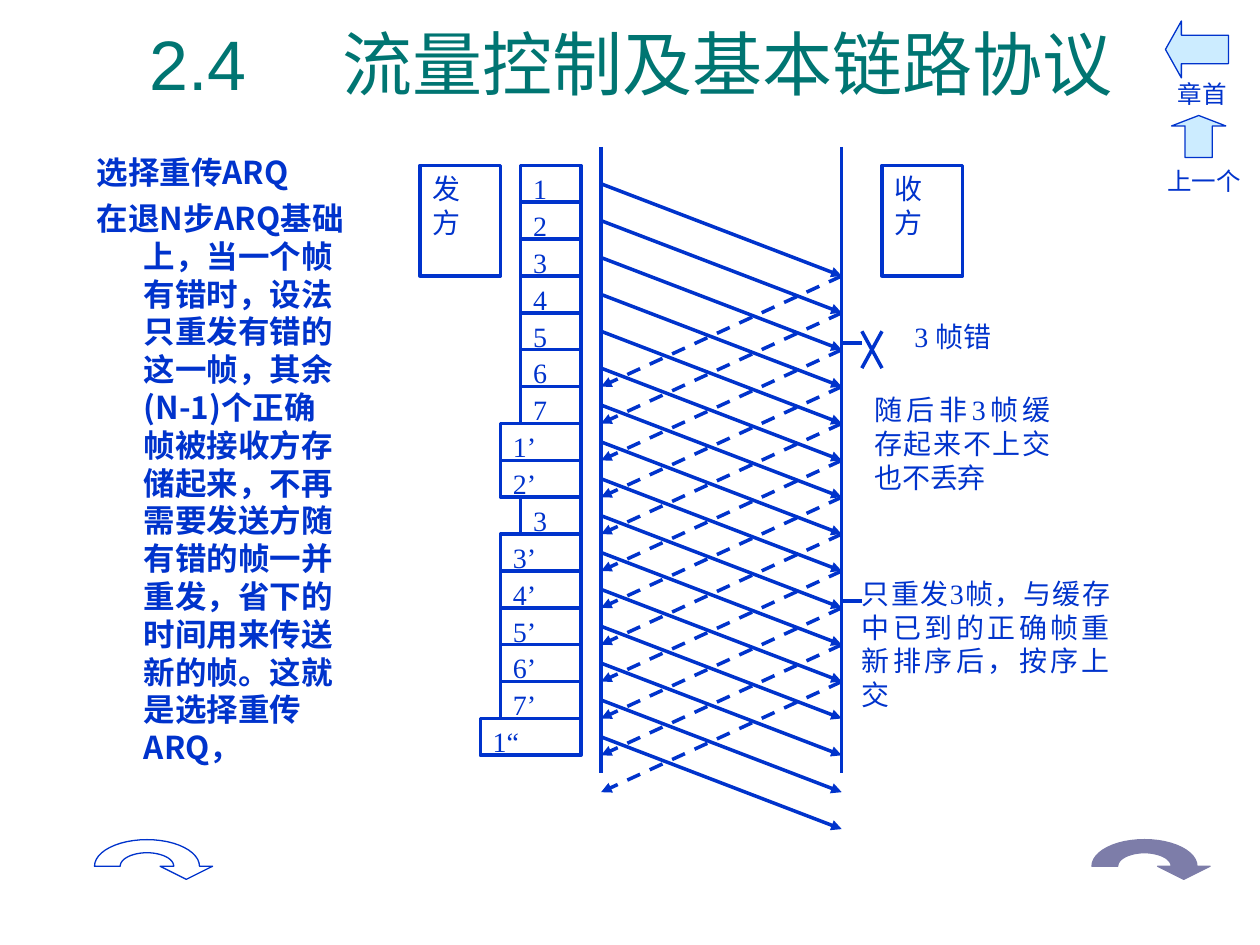
import math
import pptx
import pptx.util
import pptx.dml.color
import pptx.enum.dml
import pptx.enum.shapes
import pptx.enum.text
import pptx.oxml
import pptx.oxml.ns
from lxml import etree

Pt = pptx.util.Pt
RGB = pptx.dml.color.RGBColor
ALIGN = pptx.enum.text.PP_ALIGN
ANCHOR = pptx.enum.text.MSO_ANCHOR
KIND = pptx.enum.shapes.MSO_SHAPE
qn = pptx.oxml.ns.qn

BLUE = RGB(0x00, 0x33, 0xCC)
TEAL = RGB(0x00, 0x75, 0x72)
SKY = RGB(0xCC, 0xEC, 0xFF)
WHITE = RGB(0xFF, 0xFF, 0xFF)
MAUVE = RGB(0x7D, 0x7D, 0xA9)
SERIF, SANS, HAN = "Times New Roman", "Arial", "Noto Sans CJK SC"

TOP, STEP, UNIT = 94.5, 21.07, 11.5
SEND, RECV = 343.5, 481
EDGE = 332
LABELS = "1 2 3 4 5 6 7 1’ 2’ 3 3’ 4’ 5’ 6’ 7’ 1“".split()


class Board:
    def __init__(self, slide):
        self.slide = slide
        self.shapes = slide.shapes

    def place(self, shape, x, y, w, h):
        shape.left, shape.top, shape.width, shape.height = map(Pt, (x, y, w, h))

    def style(self, para, size, face, color=BLUE, bold=False):
        for run in para.runs:
            font = run.font
            font.size, font.name, font.bold = Pt(size), face, bold
            font.color.rgb = color
            east = etree.SubElement(run._r.get_or_add_rPr(), qn("a:ea"))
            east.set("typeface", HAN)

    def paint(self, shape, fill, line, width):
        shape.shadow.inherit = False
        if fill is None:
            shape.fill.background()
        else:
            shape.fill.solid()
            shape.fill.fore_color.rgb = fill
        shape.line.color.rgb = line
        shape.line.width = Pt(width)

    def title(self, head, tail):
        shape = self.shapes.title
        self.place(shape, 54, 12, 612, 48)
        frame = shape.text_frame
        frame.auto_size = pptx.enum.text.MSO_AUTO_SIZE.NONE
        frame.vertical_anchor = ANCHOR.MIDDLE
        frame.margin_left = Pt(31.5)
        para = frame.paragraphs[0]
        stops = etree.SubElement(para._p.get_or_add_pPr(), qn("a:tabLst"))
        etree.SubElement(stops, qn("a:tab"), pos=str(Pt(110.5)), algn="l")
        para.text = head + "\t" + tail
        para.alignment = ALIGN.LEFT
        self.style(para, 40, SANS, TEAL)

    def body(self, lines):
        shape = self.slide.placeholders[1]
        self.place(shape, 48, 84, 156, 372)
        frame = shape.text_frame
        frame.auto_size = pptx.enum.text.MSO_AUTO_SIZE.NONE
        frame.text = "\n".join(lines)
        for i, para in enumerate(frame.paragraphs):
            props = para._p.get_or_add_pPr()
            props.set("marL", str(Pt(27)))
            props.set("indent", str(Pt(-27)))
            etree.SubElement(props, qn("a:buNone"))
            para.space_before = Pt(4.5 if i else 0)
            para.line_spacing = Pt(21.6)
            self.style(para, 18, HAN, bold=True)

    def letter(self, shape, text, size, align, lead=None):
        frame = shape.text_frame
        frame.word_wrap = True
        frame.vertical_anchor = ANCHOR.TOP
        para = frame.paragraphs[0]
        para.text = text
        para.alignment = align
        if lead:
            para.line_spacing = Pt(lead)
        self.style(para, size, SERIF)

    def note(self, text, x, y, w, h, size=16, align=ALIGN.JUSTIFY, inset=7.2):
        shape = self.shapes.add_textbox(Pt(x), Pt(y), Pt(w), Pt(h))
        self.letter(shape, text, size, align, 1.2 * size)
        shape.text_frame.margin_left = Pt(inset)

    def box(self, text, x, y, w, h, lead=None):
        shape = self.shapes.add_shape(KIND.RECTANGLE, Pt(x), Pt(y), Pt(w), Pt(h))
        self.paint(shape, None, BLUE, 2)
        self.letter(shape, text, 16, ALIGN.JUSTIFY, lead)

    def arrow(self, kind, x, y, w, h, ratio):
        shape = self.shapes.add_shape(kind, Pt(x), Pt(y), Pt(w), Pt(h))
        shape.adjustments[1] = ratio
        self.paint(shape, SKY, BLUE, 0.75)

    def line(self, x1, y1, x2, y2, head=False, dash=False):
        link = self.shapes.add_connector(
            pptx.enum.shapes.MSO_CONNECTOR.STRAIGHT, Pt(x1), Pt(y1), Pt(x2), Pt(y2))
        link.line.color.rgb = BLUE
        link.line.width = Pt(2)
        if dash:
            link.line.dash_style = pptx.enum.dml.MSO_LINE.DASH
        props = link._element.spPr
        if head:
            etree.SubElement(props.find(qn("a:ln")), qn("a:tailEnd"), type="triangle")
        etree.SubElement(props, qn("a:effectLst"))

    def swoosh(self, x, y, fill, line):
        turns = [math.pi * i / 24 for i in range(25)]
        mid = x + 30
        inner = [(mid + 15.3 * math.cos(t), y - 7.7 * math.sin(t)) for t in turns]
        outer = [(mid - 30 * math.cos(t), y - 15.2 * math.sin(t)) for t in turns]
        tip = [(x + 67.5, y), (x + 52.5, y + 7.5), (x + 37.5, y)]
        first, *rest = [(Pt(a), Pt(b)) for a, b in inner + outer + tip]
        pen = self.shapes.build_freeform(*first)
        pen.add_line_segments(rest, close=True)
        self.paint(pen.convert_to_shape(), fill, line, 0.75)


def main():
    deck = pptx.Presentation()
    deck.slide_width, deck.slide_height = Pt(720), Pt(540)
    board = Board(deck.slides.add_slide(deck.slide_layouts[1]))

    board.title("2.4", "流量控制及基本链路协议")
    board.body([
        "选择重传ARQ",
        "在退N步ARQ基础上，当一个帧有错时，设法只重发有错的这一帧，其余(N-1)个正确帧"
        "被接收方存储起来，不再需要发送方随有错的帧一并重发，省下的时间用来传送新的帧。"
        "这就是选择重传ARQ，",
    ])

    board.arrow(KIND.UP_ARROW, 669.5, 66, 31, 24, 0.25)
    board.arrow(KIND.LEFT_ARROW, 666, 12, 36, 32.5, 0.28)
    board.note("上一个", 660, 91.5, 60, 24.5, 14, ALIGN.LEFT)
    board.note("章首", 666, 41.5, 43, 24.5, 14, ALIGN.LEFT)
    board.swoosh(54, 495, WHITE, BLUE)
    board.swoosh(624, 495, MAUVE, MAUVE)

    for x in (SEND, RECV):
        board.line(x, 84, x, 442)
    for text, x in (("发方", 240), ("收方", 504)):
        board.box(text, x, TOP, 46, 3 * STEP, 19.2)

    for i, label in enumerate(LABELS):
        y = TOP + i * STEP
        wide = 5 if "“" in label else 2 + len(label)
        board.box(label, EDGE - wide * UNIT, y, wide * UNIT, STEP)
        board.line(SEND, y + STEP / 2, RECV, y + 3 * STEP, head=True)
    for i in range(3, 15):
        y = TOP + i * STEP
        board.line(RECV, y, SEND, y + 3 * STEP, head=True, dash=True)

    mark = RECV + UNIT
    for y in (196, 343.5):
        board.line(RECV, y, mark, y)
    low, high = TOP + 4.5 * STEP, TOP + 5.5 * STEP
    board.line(mark + UNIT, low, mark, high)
    board.line(mark + UNIT, high, mark, low)

    board.note("3 帧错", 515.5, 179, 92, 42)
    board.note("随后非3帧缓存起来不上交也不丢弃", mark, 221, 115, 105)
    board.note("只重发3帧，与缓存中已到的正确帧重新排序后，按序上交",
               mark, 326, 149, 106, inset=0)
    deck.save("out.pptx")


if __name__ == "__main__":
    main()
